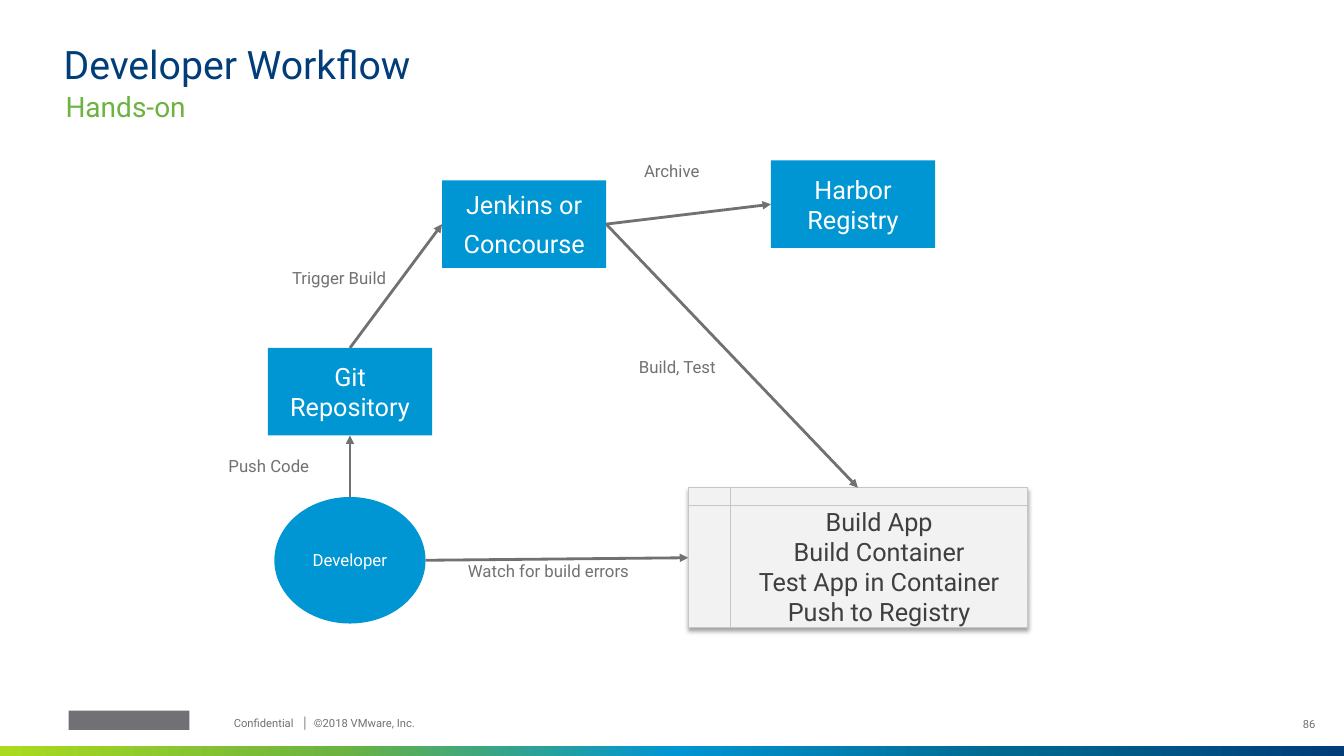
from dataclasses import dataclass

from lxml import etree
from pptx import Presentation
from pptx import util as u
from pptx.dml import color
from pptx.enum import shapes, text
from pptx.oxml import ns

Pt = u.Pt
ALIGN = text.PP_ALIGN
ANCHOR = text.MSO_ANCHOR
SHAPE = shapes.MSO_SHAPE
TOP, LEFT, BOTTOM, RIGHT = range(4)


@dataclass(frozen=True)
class Theme:
    font: str = "Roboto"
    navy: str = "003D79"
    green: str = "6DB33F"
    blue: str = "0095D3"
    white: str = "FFFFFF"
    gray: str = "717074"
    panel: str = "F2F2F2"
    panel_line: str = "C6C6C8"
    panel_text: str = "3F3F3F"
    footer_gradient: tuple = ("AADB1E", "6DB33F", "0095D3", "006990", "003D79")
    title_size: int = 28
    subtitle_size: int = 20
    box_size: int = 18
    label_size: int = 12
    footer_size: int = 8


THEME = Theme()


def rgb(value):
    return color.RGBColor.from_string(value)


def apply_format(target, values):
    for name, value in values.items():
        setattr(target, name, value)


def add_element(parent, tag, **attributes):
    return etree.SubElement(parent, ns.qn(tag), attributes)


def write_text(frame, lines, size, hue, tabs=(), **paragraph_format):
    for index, line in enumerate(lines):
        paragraph = frame.paragraphs[0] if index == 0 else frame.add_paragraph()
        apply_format(paragraph, paragraph_format)
        if tabs:
            tab_list = add_element(paragraph._p.get_or_add_pPr(), "a:tabLst")
            for position in tabs:
                add_element(tab_list, "a:tab", pos=str(Pt(position)), algn="l")
        run = paragraph.add_run()
        run.text = line
        apply_format(run.font, {"name": THEME.font, "size": Pt(size)})
        run.font.color.rgb = rgb(hue)


def add_text(slide, bounds, content, size, hue, frame_format=None, **paragraph_format):
    shape = slide.shapes.add_textbox(*map(Pt, bounds))
    frame = {"margin_left": 0, "margin_right": 0, "margin_top": 0,
             "margin_bottom": 0, "word_wrap": True}
    apply_format(shape.text_frame, frame | (frame_format or {}))
    write_text(shape.text_frame, [content], size, hue, **paragraph_format)


def add_label(slide, left, top, width, content):
    fit = {"auto_size": text.MSO_AUTO_SIZE.SHAPE_TO_FIT_TEXT}
    add_text(slide, (left, top, width, 14.4), content, THEME.label_size,
             THEME.gray, fit, space_after=Pt(6))


def add_plain_shape(slide, kind, bounds, fill):
    shape = slide.shapes.add_shape(kind, *map(Pt, bounds))
    shape.shadow.inherit = False
    shape.fill.solid()
    shape.fill.fore_color.rgb = rgb(fill)
    shape.line.fill.background()
    return shape


def add_node(slide, kind, bounds, lines, size=THEME.box_size, fill=THEME.blue,
             hue=THEME.white, space_after=6):
    shape = add_plain_shape(slide, kind, bounds, fill)
    apply_format(shape.text_frame, {"word_wrap": True, "vertical_anchor": ANCHOR.MIDDLE})
    write_text(shape.text_frame, lines, size, hue,
               alignment=ALIGN.CENTER, space_after=Pt(space_after))
    return shape


def add_panel(slide, bounds, lines):
    shape = add_node(slide, SHAPE.FLOWCHART_INTERNAL_STORAGE, bounds, lines,
                     fill=THEME.panel, hue=THEME.panel_text, space_after=0)
    shape.line.color.rgb = rgb(THEME.panel_line)
    shape.line.width = Pt(0.75)
    effects = shape._element.spPr.find(ns.qn("a:effectLst"))
    shadow = add_element(effects, "a:outerShdw", blurRad=str(Pt(3.1)),
                         dist=str(Pt(1.8)), dir="5400000", rotWithShape="0")
    shade = add_element(shadow, "a:srgbClr", val="000000")
    add_element(shade, "a:alpha", val="35000")
    return shape


def side_point(shape, side):
    across = {LEFT: 0, RIGHT: shape.width}.get(side, shape.width // 2)
    down = {TOP: 0, BOTTOM: shape.height}.get(side, shape.height // 2)
    return shape.left + across, shape.top + down


def add_arrow(slide, source, source_side, target, target_side):
    arrow = slide.shapes.add_connector(
        shapes.MSO_CONNECTOR.STRAIGHT,
        *side_point(source, source_side), *side_point(target, target_side))
    if source.auto_shape_type != SHAPE.OVAL:
        arrow.begin_connect(source, source_side)
    arrow.end_connect(target, target_side)
    arrow.line.color.rgb = rgb(THEME.gray)
    arrow.line.width = Pt(2)
    add_element(arrow.line._get_or_add_ln(), "a:tailEnd", type="triangle")
    add_element(arrow._element.spPr, "a:effectLst")


def add_footer(slide):
    bar = add_plain_shape(slide, SHAPE.RECTANGLE, (0, 532.8, 960, 7.2), THEME.blue)
    bar.fill.gradient()
    bar.fill.gradient_angle = 0
    stops = bar._element.spPr.find(".//" + ns.qn("a:gsLst"))
    for stop in list(stops):
        stops.remove(stop)
    for index, hue in enumerate(THEME.footer_gradient):
        stop = add_element(stops, "a:gs", pos=str(index * 25000))
        add_element(stop, "a:srgbClr", val=hue)
    add_plain_shape(slide, SHAPE.RECTANGLE, (49, 507.6, 86.4, 13.7), THEME.gray)
    add_text(slide, (905, 503.3, 34.6, 28.8), "86", THEME.footer_size, THEME.gray,
             {"vertical_anchor": ANCHOR.MIDDLE}, alignment=ALIGN.RIGHT, line_spacing=0.9)
    add_text(slide, (167, 512.6, 154.8, 11.5), "Confidential\t│\t©2018 VMware, Inc.",
             THEME.footer_size, THEME.gray, tabs=(48.4, 57.2), line_spacing=0.9)


def add_heading(slide):
    add_text(slide, (45.4, 32.4, 866, 30.2), "Developer Workflow", THEME.title_size,
             THEME.navy, {"vertical_anchor": ANCHOR.BOTTOM, "word_wrap": False},
             line_spacing=0.9)
    add_text(slide, (46.8, 64.1, 865.4, 19.4), "Hands-on", THEME.subtitle_size, THEME.green)


def add_workflow(slide):
    box = (117.2, 62.6)
    registry = add_node(slide, SHAPE.RECTANGLE, (550.7, 114.6, *box), ["Harbor Registry"])
    developer = add_node(slide, SHAPE.OVAL, (196, 355, 108, 90.4), ["Developer"],
                         THEME.label_size)
    repository = add_node(slide, SHAPE.RECTANGLE, (191.4, 248.5, *box), ["Git Repository"])
    builder = add_node(slide, SHAPE.RECTANGLE, (315.8, 128.8, *box),
                       ["Jenkins or", "Concourse"])
    pipeline = add_panel(slide, (491.6, 348.4, 242.4, 100),
                         ["Build App", "Build Container", "Test App in Container",
                          "Push to Registry"])
    for ends in (
        (developer, TOP, repository, BOTTOM),
        (repository, TOP, builder, LEFT),
        (builder, RIGHT, pipeline, TOP),
        (builder, RIGHT, registry, LEFT),
        (developer, RIGHT, pipeline, LEFT),
    ):
        add_arrow(slide, *ends)
    for label in (
        (163.2, 325.6, 65.6, "Push Code"),
        (208.6, 191.5, 80.6, "Trigger Build"),
        (456.4, 255, 121, "Build, Test"),
        (460, 114.6, 75.6, "Archive"),
        (334.2, 400.2, 141, "Watch for build errors"),
    ):
        add_label(slide, *label)


def main():
    presentation = Presentation()
    apply_format(presentation, {"slide_width": Pt(960), "slide_height": Pt(540)})
    slide = presentation.slides.add_slide(presentation.slide_layouts[6])
    add_footer(slide)
    add_heading(slide)
    add_workflow(slide)
    presentation.save("out.pptx")


if __name__ == "__main__":
    main()
